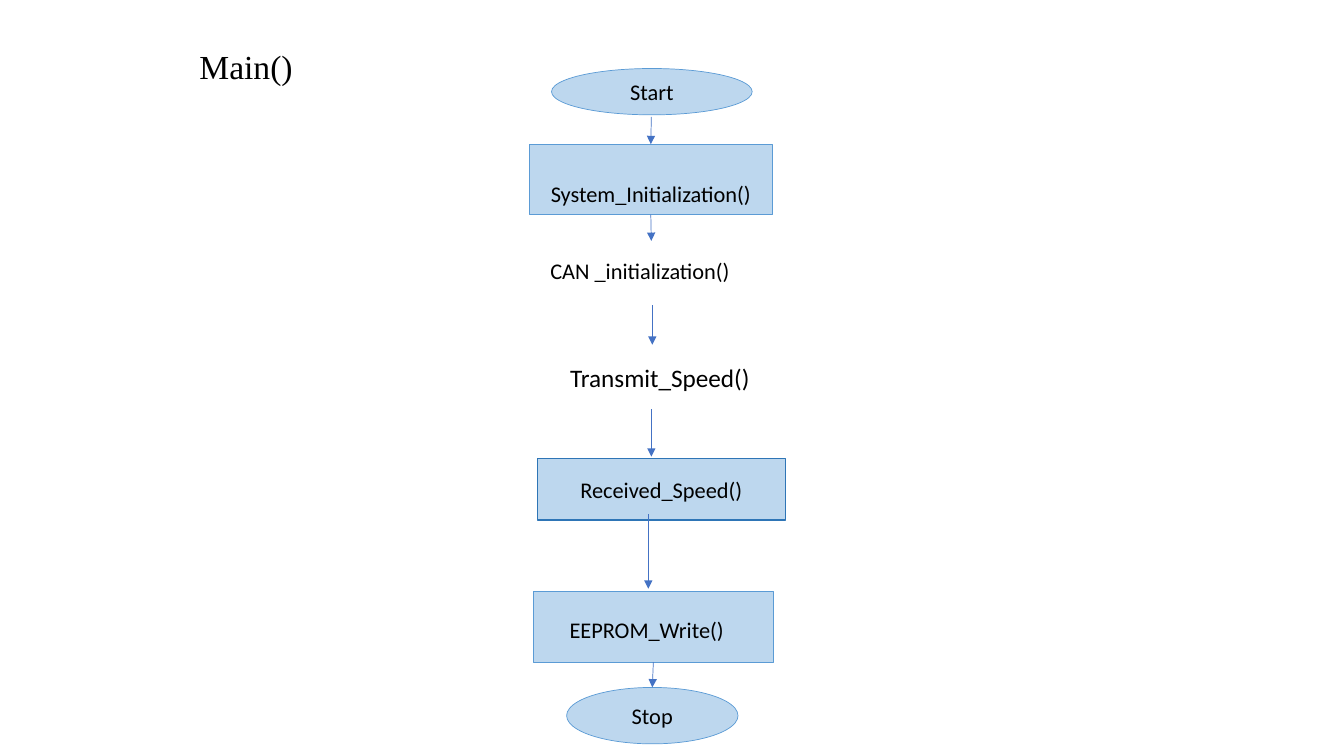
from pptx import Presentation
from pptx.dml.color import RGBColor
from pptx.enum.shapes import MSO_CONNECTOR, MSO_SHAPE
from pptx.enum.text import MSO_ANCHOR, PP_ALIGN
from pptx.oxml.ns import qn
from pptx.util import Inches, Pt
from lxml import etree

OVAL, RECT = MSO_SHAPE.OVAL, MSO_SHAPE.RECTANGLE
STRAIGHT = MSO_CONNECTOR.STRAIGHT
LEFT, CENTER = PP_ALIGN.LEFT, PP_ALIGN.CENTER
MIDDLE = MSO_ANCHOR.MIDDLE
TOP_SITE, BOTTOM_SITE = 0, 2

BLACK = RGBColor(0x00, 0x00, 0x00)
PALE_BLUE = RGBColor(0xBD, 0xD7, 0xEE)
OUTLINE_BLUE = RGBColor(0x5B, 0x9B, 0xD5)
DARK_BLUE = RGBColor(0x2E, 0x75, 0xB6)
ARROW_BLUE = RGBColor(0x44, 0x72, 0xC4)


def write_text(frame, text, size=16, align=CENTER, font_name="Calibri"):
    frame.text = text
    paragraph = frame.paragraphs[0]
    paragraph.alignment = align
    font = paragraph.runs[0].font
    font.name, font.size = font_name, Pt(size)
    font.color.rgb = BLACK


def add_step(slide, kind, bounds, text="", outline=OUTLINE_BLUE, weight=0.5):
    step = slide.shapes.add_shape(kind, *map(Inches, bounds))
    step.shadow.inherit = False
    step.fill.solid()
    step.fill.fore_color.rgb = PALE_BLUE
    step.line.color.rgb = outline
    step.line.width = Pt(weight)
    if text:
        step.text_frame.vertical_anchor = MIDDLE
        write_text(step.text_frame, text)
    return step


def add_label(slide, bounds, text, wrap=True, **style):
    label = slide.shapes.add_textbox(*map(Inches, bounds))
    label.text_frame.word_wrap = wrap
    write_text(label.text_frame, text, **style)


def add_down_arrow(slide, x, top, bottom, source=None, target=None):
    """Draw an arrow, joined to the bottom of source and the top of target if given."""
    arrow = slide.shapes.add_connector(
        STRAIGHT, Inches(x), Inches(top), Inches(x), Inches(bottom))
    if source is not None:
        arrow.begin_connect(source, BOTTOM_SITE)
    if target is not None:
        arrow.end_connect(target, TOP_SITE)
    arrow.line.color.rgb = ARROW_BLUE
    arrow.line.width = Pt(0.5)
    etree.SubElement(arrow.line._get_or_add_ln(), qn("a:tailEnd"), type="triangle")
    etree.SubElement(arrow._element.spPr, qn("a:effectLst"))


def main():
    prs = Presentation()
    prs.slide_width, prs.slide_height = Inches(13.33), Inches(7.5)
    slide = prs.slides.add_slide(prs.slide_layouts[6])

    add_label(slide, (1.88, 0.41, 1.14, 0.5), "Main()", wrap=False,
              size=24, align=LEFT, font_name="Times New Roman")

    add_step(slide, OVAL, (5.47, 0.68, 1.99, 0.46), "Start")
    system_init = add_step(slide, RECT, (5.25, 1.43, 2.41, 0.7), "System_Initialization()")
    system_init.text_frame.margin_top = Inches(0.34)
    add_label(slide, (5.36, 2.5, 3.67, 0.37), "CAN _initialization()", align=LEFT)
    add_label(slide, (5.42, 3.55, 2.25, 0.4), "Transmit_Speed()", size=18)
    add_step(slide, RECT, (5.33, 4.55, 2.46, 0.61), "Received_Speed()", DARK_BLUE, 1)
    eeprom_write = add_step(slide, RECT, (5.29, 5.87, 2.38, 0.7))
    add_label(slide, (5.55, 6.06, 2.55, 0.37), "EEPROM_Write()", align=LEFT)
    stop = add_step(slide, OVAL, (5.62, 6.82, 1.7, 0.56), "Stop")

    add_down_arrow(slide, 6.46, 1.16, 1.43, target=system_init)
    add_down_arrow(slide, 6.46, 2.13, 2.39, source=system_init)
    add_down_arrow(slide, 6.47, 3.03, 3.42)
    add_down_arrow(slide, 6.46, 4.06, 4.53)
    add_down_arrow(slide, 6.43, 5.1, 5.84)
    add_down_arrow(slide, 6.48, 6.57, 6.82, source=eeprom_write, target=stop)

    prs.save("out.pptx")


if __name__ == "__main__":
    main()
